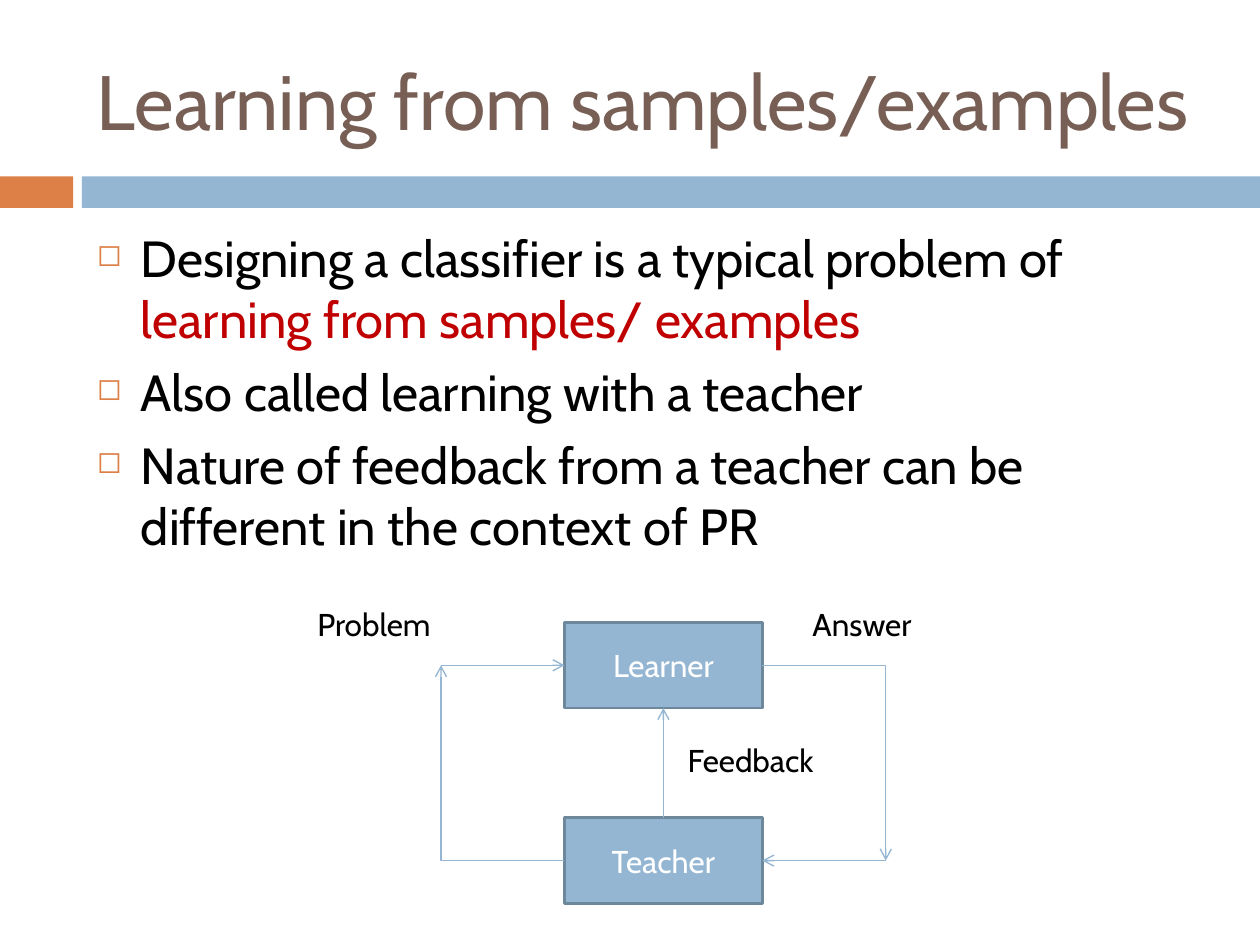
"""Build the slide on learning from samples, with its learner and teacher loop."""
from typing import NamedTuple, Optional

import pptx
import pptx.dml.color
import pptx.enum.shapes
import pptx.enum.text
import pptx.oxml.ns
import pptx.oxml.xmlchemy
import pptx.util
from lxml import etree

Inches = pptx.util.Inches
Pt = pptx.util.Pt
RGBColor = pptx.dml.color.RGBColor
qn = pptx.oxml.ns.qn
CONNECTOR = pptx.enum.shapes.MSO_CONNECTOR
RECTANGLE = pptx.enum.shapes.MSO_SHAPE.RECTANGLE
ANCHOR = pptx.enum.text.MSO_ANCHOR
ALIGN = pptx.enum.text.PP_ALIGN

FONT = "Cabin"
ORANGE = RGBColor(0xDD, 0x80, 0x47)
BLUE = RGBColor(0x94, 0xB6, 0xD2)
EDGE = RGBColor(0x6D, 0x87, 0x9B)
BROWN = RGBColor(0x77, 0x5F, 0x55)
RED = RGBColor(0xC0, 0x00, 0x00)
BLACK = RGBColor(0x00, 0x00, 0x00)
WHITE = RGBColor(0xFF, 0xFF, 0xFF)

BOX_LEFT, BOX_WIDTH, BOX_HEIGHT = 4.48, 1.57, 0.68
LEARNER_TOP, TEACHER_TOP = 4.94, 6.49
BOX_RIGHT = BOX_LEFT + BOX_WIDTH
BOX_CENTER = BOX_LEFT + BOX_WIDTH / 2
LEARNER_MID = LEARNER_TOP + BOX_HEIGHT / 2
TEACHER_MID = TEACHER_TOP + BOX_HEIGHT / 2
LOOP_REACH = 0.98
LOOP_LEFT, LOOP_RIGHT = BOX_LEFT - LOOP_REACH, BOX_RIGHT + LOOP_REACH
TOP, LEFT, BOTTOM, RIGHT = range(4)


class Area(NamedTuple):
    left: float
    top: float
    width: float
    height: float


class Label(NamedTuple):
    text: str
    left: float
    top: float


class Bullet(NamedTuple):
    text: str
    highlight: str = ""


class Arrow(NamedTuple):
    start: tuple[float, float]
    end: tuple[float, float]
    elbow: bool = False
    source: Optional[tuple[str, int]] = None
    target: Optional[tuple[str, int]] = None


LABELS = [
    Label("Problem", 2.42, 4.75),
    Label("Answer", 6.35, 4.75),
    Label("Feedback", 5.36, 5.83),
]
BULLETS = [
    Bullet("Designing a classifier is a typical problem of ",
           "learning from samples/ examples"),
    Bullet("Also called learning with a teacher"),
    Bullet("Nature of feedback from a teacher can be different in the context of PR"),
]
ARROWS = [
    Arrow((BOX_CENTER, TEACHER_TOP), (BOX_CENTER, LEARNER_TOP + BOX_HEIGHT),
          source=("Teacher", TOP), target=("Learner", BOTTOM)),
    Arrow((BOX_LEFT, TEACHER_MID), (LOOP_LEFT, LEARNER_MID), elbow=True),
    Arrow((LOOP_LEFT, LEARNER_MID), (BOX_LEFT, LEARNER_MID), target=("Learner", LEFT)),
    Arrow((BOX_RIGHT, LEARNER_MID), (LOOP_RIGHT, TEACHER_MID), elbow=True),
    Arrow((LOOP_RIGHT, TEACHER_MID), (BOX_RIGHT, TEACHER_MID), target=("Teacher", RIGHT)),
]


def style(paragraph, size: float, color: RGBColor) -> None:
    """Set the font of a whole paragraph."""
    paragraph.font.name = FONT
    paragraph.font.size = Pt(size)
    paragraph.font.color.rgb = color


def add_rectangle(slide, area: Area, fill: RGBColor):
    """Add a plain filled rectangle without a line."""
    rectangle = slide.shapes.add_shape(RECTANGLE, *map(Inches, area))
    rectangle.shadow.inherit = False
    rectangle.fill.solid()
    rectangle.fill.fore_color.rgb = fill
    rectangle.line.fill.background()
    return rectangle


def add_role(slide, role: str, top: float):
    """Add one labelled box of the loop."""
    box = add_rectangle(slide, Area(BOX_LEFT, top, BOX_WIDTH, BOX_HEIGHT), BLUE)
    box.line.color.rgb = EDGE
    box.line.width = Pt(1.5)
    box.text_frame.vertical_anchor = ANCHOR.MIDDLE
    paragraph = box.text_frame.paragraphs[0]
    paragraph.text = role
    paragraph.alignment = ALIGN.CENTER
    style(paragraph, 18, WHITE)
    return box


def add_frame(slide, area: Area):
    """Add an empty wrapping text box and return its text frame."""
    frame = slide.shapes.add_textbox(*map(Inches, area)).text_frame
    frame.word_wrap = True
    return frame


def add_text(slide, area: Area, text: str, size: float, color: RGBColor):
    """Add a text box with one paragraph."""
    frame = add_frame(slide, area)
    frame.paragraphs[0].text = text
    style(frame.paragraphs[0], size, color)
    return frame


def add_bullet(paragraph, bullet: Bullet) -> None:
    """Fill a paragraph with a square-bulleted point."""
    paragraph.space_before = Pt(7)
    properties = paragraph._p.get_or_add_pPr()
    properties.set("marL", str(Inches(0.35)))
    properties.set("indent", str(-Inches(0.35)))
    bullet_color = etree.SubElement(properties, qn("a:buClr"))
    etree.SubElement(bullet_color, qn("a:srgbClr"), val=str(ORANGE))
    etree.SubElement(properties, qn("a:buSzPct"), val="60000")
    etree.SubElement(properties, qn("a:buChar"), char="◻")
    style(paragraph, 29, BLACK)
    paragraph.add_run().text = bullet.text
    if bullet.highlight:
        highlight = paragraph.add_run()
        highlight.text = bullet.highlight
        highlight.font.color.rgb = RED


def add_arrow(slide, arrow: Arrow, boxes: dict) -> None:
    """Add a straight or single-bend arrow and join it to its boxes."""
    kind = CONNECTOR.ELBOW if arrow.elbow else CONNECTOR.STRAIGHT
    connector = slide.shapes.add_connector(kind, *map(Inches, arrow.start + arrow.end))
    connector.line.color.rgb = BLUE
    connector.line.width = Pt(0.79)
    properties = connector._element.spPr
    etree.SubElement(properties.find(qn("a:ln")), qn("a:tailEnd"), type="arrow")
    etree.SubElement(properties, qn("a:effectLst"))
    if arrow.elbow:
        properties.find(qn("a:prstGeom")).set("prst", "bentConnector2")
        frame = properties.find(qn("a:xfrm"))
        if frame.attrib.pop("flipH", None) and frame.attrib.pop("flipV", None):
            frame.set("rot", str(180 * 60000))
    if arrow.source:
        connector.begin_connect(boxes[arrow.source[0]], arrow.source[1])
    if arrow.target:
        connector.end_connect(boxes[arrow.target[0]], arrow.target[1])


def main() -> None:
    """Build and save the slide."""
    presentation = pptx.Presentation()
    presentation.slide_width, presentation.slide_height = Inches(10), Inches(7.5)
    slide = presentation.slides.add_slide(presentation.slide_layouts[6])

    add_rectangle(slide, Area(0, 1.4, 0.58, 0.25), ORANGE)
    add_rectangle(slide, Area(0.65, 1.4, 9.35, 0.25), BLUE)
    title = add_text(slide, Area(0.67, 0.25, 8.92, 1.08),
                     "Learning from samples/examples", 44, BROWN)
    title.vertical_anchor = ANCHOR.MIDDLE

    body = add_frame(slide, Area(0.67, 1.75, 8.92, 4.92))
    for index, bullet in enumerate(BULLETS):
        add_bullet(body.add_paragraph() if index else body.paragraphs[0], bullet)

    roles = {"Learner": LEARNER_TOP, "Teacher": TEACHER_TOP}
    boxes = {role: add_role(slide, role, top) for role, top in roles.items()}
    for arrow in ARROWS:
        add_arrow(slide, arrow, boxes)
    for label in LABELS:
        add_text(slide, Area(label.left, label.top, BOX_WIDTH, 0.47), label.text, 18, BLACK)

    presentation.save("out.pptx")


if __name__ == "__main__":
    main()
